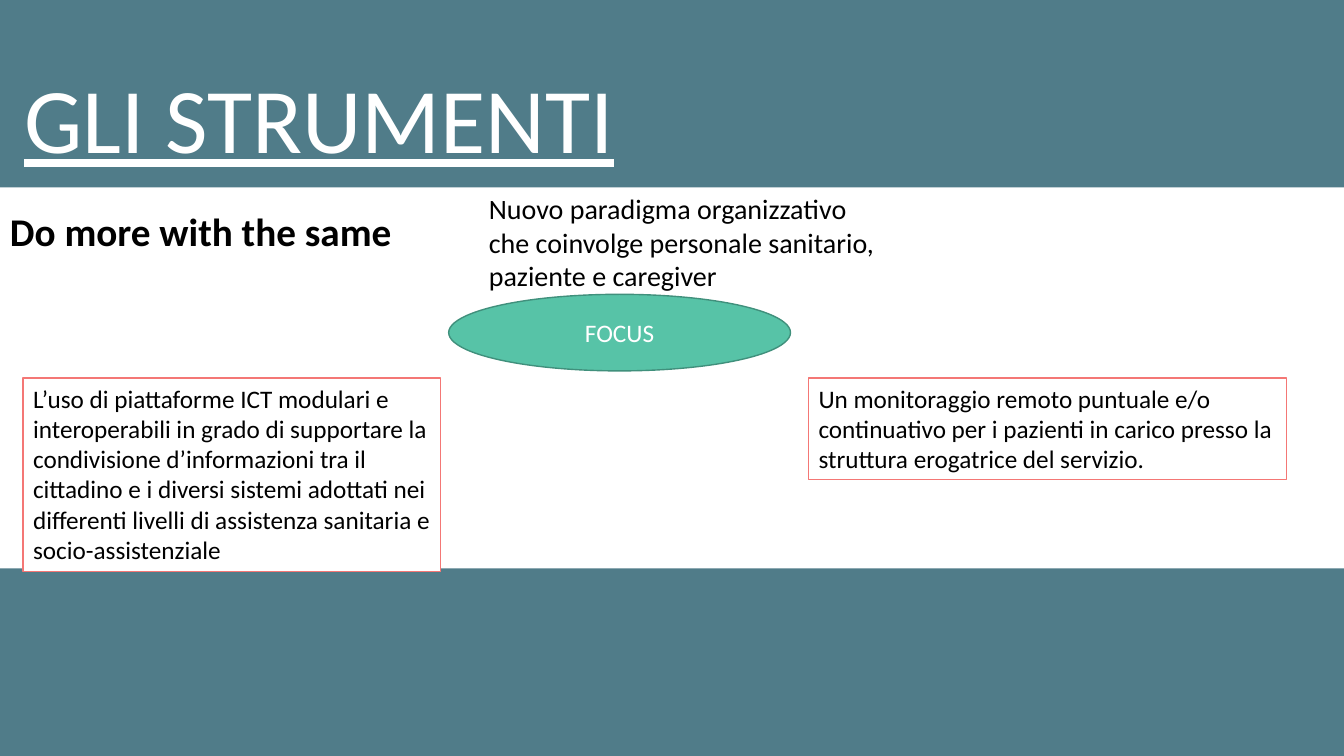
from pptx import Presentation
from pptx.dml.color import RGBColor
from pptx.enum.shapes import MSO_SHAPE as Shape
from pptx.enum.text import MSO_ANCHOR as Anchor, MSO_AUTO_SIZE as AutoSize, PP_ALIGN as Align
from pptx.util import Inches, Pt

COLORS = {
    "band": "507C89",
    "white": "FFFFFF",
    "black": "000000",
    "focus": "57C3A7",
    "focus_line": "40907C",
    "box_line": "F47775",
}
FONT = "Calibri"
SLIDE_WIDTH, SLIDE_HEIGHT, BAND_HEIGHT = 13.33, 7.5, 1.86

TITLE = ("GLI STRUMENTI", (0.14, 0.56, 6.11, 1.21))
# text, (left, top, width, height), text format
LABELS = [
    ("Do more with the same", (0, 2.01, 4.45, 0.57), {"size": 28, "bold": True}),
    ("Nuovo paradigma organizzativo che coinvolge personale sanitario, "
     "paziente e caregiver", (4.75, 1.85, 4.14, 1.11), {"size": 20}),
]
FOCUS = ("FOCUS", (4.45, 2.92, 3.39, 0.76))
BOXES = [
    ("L’uso di piattaforme ICT modulari e interoperabili in grado di supportare "
     "la condivisione d’informazioni tra il cittadino e i diversi sistemi adottati "
     "nei differenti livelli di assistenza sanitaria e socio-assistenziale",
     (0.23, 3.75, 4.14, 1.92)),
    ("Un monitoraggio remoto puntuale e/o continuativo per i pazienti in carico "
     "presso la struttura erogatrice del servizio.", (8.02, 3.75, 4.74, 1.01)),
]


def rgb(name):
    return RGBColor.from_string(COLORS[name])


def inches(bounds):
    return [Inches(value) for value in bounds]


def write(shape, text, size=18, color="black", bold=False, underline=False,
          align=Align.LEFT, anchor=Anchor.TOP, wrap=True):
    frame = shape.text_frame
    frame.word_wrap = wrap
    frame.auto_size = AutoSize.NONE
    frame.vertical_anchor = anchor
    paragraph = frame.paragraphs[0]
    paragraph.alignment = align
    run = paragraph.add_run()
    run.text = text
    font = run.font
    font.name, font.size = FONT, Pt(size)
    font.bold, font.underline = bold, underline
    font.color.rgb = rgb(color)


def add_filled(slide, kind, bounds, fill, line=None):
    shape = slide.shapes.add_shape(kind, *inches(bounds))
    shape.shadow.inherit = False
    shape.fill.solid()
    shape.fill.fore_color.rgb = rgb(fill)
    if line:
        shape.line.color.rgb = rgb(line)
        shape.line.width = Pt(1)
    else:
        shape.line.fill.background()
    return shape


def main():
    presentation = Presentation()
    presentation.slide_width = Inches(SLIDE_WIDTH)
    presentation.slide_height = Inches(SLIDE_HEIGHT)
    slide = presentation.slides.add_slide(presentation.slide_layouts[5])

    title = slide.shapes.title
    text, bounds = TITLE
    title.left, title.top, title.width, title.height = inches(bounds)
    write(title, text, size=66, color="white", underline=True, wrap=False)

    for top in (0, SLIDE_HEIGHT - BAND_HEIGHT):
        band = add_filled(slide, Shape.RECTANGLE, (0, top, SLIDE_WIDTH, BAND_HEIGHT), "band")
        title.element.addprevious(band.element)  # bands lie behind the title

    for text, bounds, text_format in LABELS:
        write(slide.shapes.add_textbox(*inches(bounds)), text, **text_format)

    text, bounds = FOCUS
    ellipse = add_filled(slide, Shape.OVAL, bounds, "focus", "focus_line")
    write(ellipse, text, color="white", align=Align.CENTER, anchor=Anchor.MIDDLE)

    for text, bounds in BOXES:
        write(add_filled(slide, Shape.RECTANGLE, bounds, "white", "box_line"), text)

    presentation.save("out.pptx")


if __name__ == "__main__":
    main()
